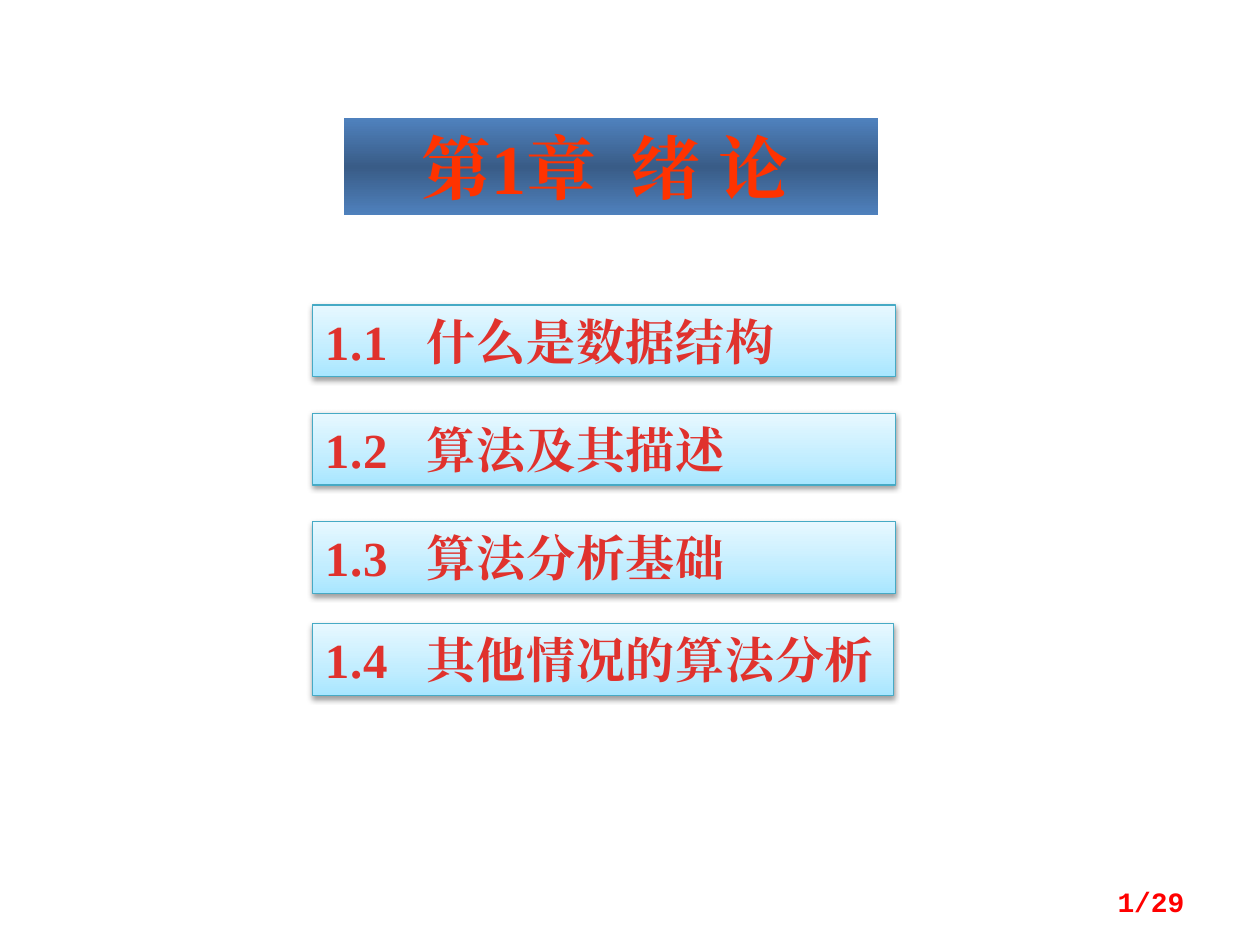
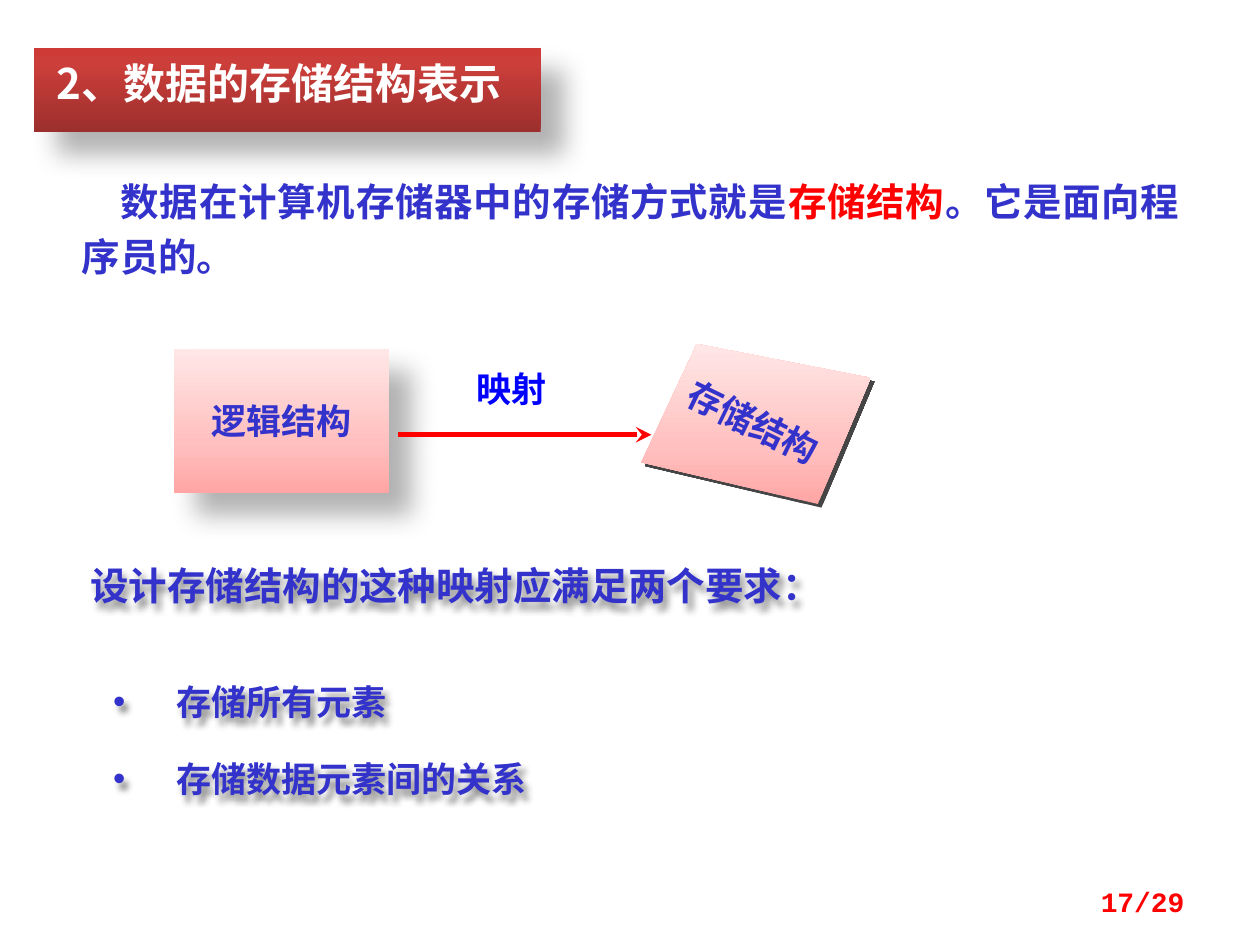
from lxml import etree
from pptx import Presentation
from pptx import util as u
from pptx.dml.color import RGBColor
from pptx.enum import shapes, text
from pptx.oxml.ns import qn

COLORS = {"red": "FF0000", "orange": "FF3300", "brick": "E0322D", "white": "FFFFFF",
          "indigo": "3333CC", "blue": "0000FF", "teal": "46AAC5", "black": "000000"}
SERIF, SANS, MONO = "Times New Roman", "Noto Sans CJK SC", "Courier New"
# Gradient stops (position, colour) and the counter-clockwise angle
NAVY = ([(0, "4F81BD"), (50, "395C87"), (100, "4F81BD")], 270)
CRIMSON = ([(0, "9C2F2D"), (80, "CB3E3A"), (100, "CE3B37")], 90)
SKY = ([(0, "A7E6FF"), (35, "C1EDFF"), (100, "E7F8FF")], 90)
PINK = ([(0, "FFA6A5"), (35, "FFC0BF"), (100, "FFE7E7")], 90)
# Shadows: opacity %, blur pt, distance pt, direction
SOFT, SMALL, HARD, GLYPH = (30, 15, 18, 45), (38, 3.1, 1.6, 90), (72, 0, 3, 45), (45, 4, 4, 60)
LEFT, CENTER, RIGHT, JUSTIFY = (text.PP_ALIGN.LEFT, text.PP_ALIGN.CENTER,
                                text.PP_ALIGN.RIGHT, text.PP_ALIGN.JUSTIFY)
TOP, MIDDLE = text.MSO_ANCHOR.TOP, text.MSO_ANCHOR.MIDDLE
TOTAL = 29


def add_xml(parent, tag, **attrs):
    """Append a child element with the given attributes."""
    return etree.SubElement(parent, qn(tag), {k: str(v) for k, v in attrs.items()})


def lengths(*values):
    """Turn inches into lengths."""
    return [u.Inches(v) for v in values]


class Deck:
    """Holds the presentation, its style and the current slide."""

    def __init__(self):
        """Start a 4:3 presentation."""
        self.prs = Presentation()
        self.prs.slide_width, self.prs.slide_height = lengths(10, 7.5)

    def slide(self, number):
        """Add a title-only slide with its page number."""
        self.s = self.prs.slides.add_slide(self.prs.slide_layouts[5])
        self.area = self.s.shapes
        sp = self.label((7.17, 6.95, 2.33, 0.4), anchor=MIDDLE)
        self.para(sp, [(f"{number}/{TOTAL}", "red")], 16, MONO, RIGHT)

    def group(self):
        """Draw the following elements inside a new group."""
        self.area = self.s.shapes.add_group_shape().shapes

    def ungroup(self):
        """Draw on the slide itself again."""
        self.area = self.s.shapes

    def frame(self, sp, insets=(0.1, 0.05, 0.1, 0.05), anchor=TOP, wrap=True):
        """Set insets, anchor and wrapping of the text."""
        tf = sp.text_frame
        tf.auto_size = text.MSO_AUTO_SIZE.NONE
        tf.word_wrap, tf.vertical_anchor = wrap, anchor
        tf.margin_left, tf.margin_top, tf.margin_right, tf.margin_bottom = lengths(*insets)

    def para(self, sp, runs, size, font, align=LEFT, spacing=None, before=0,
             indent=None, bullet=None, tracking=None):
        """Add a paragraph of (text, colour) runs."""
        tf = sp.text_frame
        p = tf.add_paragraph() if tf.paragraphs[0].runs else tf.paragraphs[0]
        p.alignment, p.space_before = align, u.Pt(before)
        if spacing:
            p.line_spacing = spacing
        pPr = p._p.get_or_add_pPr()
        if indent:
            margin, first = lengths(*indent)
            pPr.set("marL", str(margin))
            pPr.set("indent", str(first))
        if bullet:
            add_xml(pPr, "a:buFont", typeface="Arial")
            add_xml(pPr, "a:buChar", char=bullet)
        for words, color in runs:
            r = p.add_run()
            r.text = words
            r.font.size, r.font.bold, r.font.name = u.Pt(size), True, font
            r.font.color.rgb = RGBColor.from_string(COLORS[color])
            rPr = r.font._element
            add_xml(rPr, "a:ea", typeface=font)
            if tracking:
                rPr.set("spc", str(int(tracking * 100)))

    def paint(self, sp, gradient, shadow=None, line=None):
        """Fill a shape with a gradient and set its line and shadow."""
        stops, angle = gradient
        sp.fill.gradient()
        sp.fill.gradient_angle = angle
        gs_list = sp._element.spPr.find(qn("a:gradFill")).find(qn("a:gsLst"))
        for gs in list(gs_list):
            gs_list.remove(gs)
        for pos, color in stops:
            add_xml(add_xml(gs_list, "a:gs", pos=pos * 1000), "a:srgbClr", val=color)
        if line:
            sp.line.color.rgb = RGBColor.from_string(COLORS[line])
            sp.line.width = u.Pt(0.75)
        else:
            sp.line.fill.background()
        self.shade(sp, shadow)

    def shade(self, sp, shadow):
        """Replace the theme shadow by the given one, or by none."""
        sp.shadow.inherit = False
        if shadow:
            alpha, blur, dist, angle = shadow
            effects = sp._element.spPr.find(qn("a:effectLst"))
            outer = add_xml(effects, "a:outerShdw", blurRad=u.Pt(blur), dist=u.Pt(dist),
                            dir=angle * 60000, algn="tl", rotWithShape=0)
            color = add_xml(outer, "a:srgbClr", val=COLORS["black"])
            add_xml(color, "a:alpha", val=alpha * 1000)

    def title(self, box, gradient, insets, shadow=None):
        """Move the title placeholder and give it a band."""
        sp = self.s.shapes.title
        sp.left, sp.top, sp.width, sp.height = lengths(*box)
        self.paint(sp, gradient, shadow)
        self.frame(sp, insets)
        return sp

    def box(self, box, gradient, shadow, line=None, **frame):
        """Add a rectangle."""
        sp = self.area.add_shape(shapes.MSO_SHAPE.RECTANGLE, *lengths(*box))
        self.paint(sp, gradient, shadow, line)
        self.frame(sp, **frame)
        return sp

    def label(self, box, shadow=None, **frame):
        """Add a text box."""
        sp = self.area.add_textbox(*lengths(*box))
        self.frame(sp, **frame)
        if shadow:
            self.shade(sp, shadow)
        return sp

    def polygon(self, points, gradient, shadow):
        """Add a closed outline through the points."""
        start, *rest = [lengths(*point) for point in points]
        builder = self.area.build_freeform(*start, scale=1.0)
        builder.add_line_segments(rest, close=True)
        self.paint(builder.convert_to_shape(), gradient, shadow)

    def arrow(self, start, end, color, width):
        """Add a straight arrow."""
        c = self.area.add_connector(shapes.MSO_CONNECTOR.STRAIGHT,
                                    *lengths(*start), *lengths(*end))
        c.line.color.rgb = RGBColor.from_string(COLORS[color])
        c.line.width = u.Pt(width)
        add_xml(c.line._get_or_add_ln(), "a:tailEnd", type="stealth", w="med", len="med")
        add_xml(c._element.spPr, "a:effectLst")


def chapter_slide(deck):
    """Chapter title and its list of sections."""
    deck.slide(1)
    sp = deck.title((2.73, 0.94, 4.24, 0.77), NAVY, (0.1, 0.05, 0.2, 0.05))
    deck.para(sp, [("第1章\u2002绪 论", "orange")], 40, SERIF, CENTER)
    sections = [("什么是数据结构", 2.42, 4.63), ("算法及其描述", 3.28, 4.63),
                ("算法分析基础", 4.14, 4.63), ("其他情况的算法分析", 4.95, 4.61)]
    for i, (name, top, width) in enumerate(sections, 1):
        sp = deck.box((2.48, top, width, 0.57), SKY, SMALL, "teal")
        deck.para(sp, [(f"1.{i}\t{name}", "brick")], 28, SERIF,
                  indent=(0.81, -0.81), tracking=0.5)


def storage_slide(deck):
    """Mapping from the logical to the storage structure."""
    deck.slide(17)
    sp = deck.title((0.27, 0.38, 4.02, 0.67), CRIMSON, (0.18, 0.08, 0.1, 0.05), SOFT)
    deck.para(sp, [("2、数据的存储结构表示", "white")], 24, SANS)

    sp = deck.label((0.55, 1.25, 8.91, 0.93), insets=(0.1, 0.09, 0.1, 0.05))
    deck.para(sp, [("数据在计算机存储器中的存储方式就是", "indigo"), ("存储结构", "red"),
                   ("。它是面向程序员的。", "indigo")],
              22, SANS, JUSTIFY, u.Pt(31.4), indent=(0, 0.31))

    deck.group()
    sp = deck.box((1.38, 2.77, 1.71, 1.14), PINK, SOFT, anchor=MIDDLE, wrap=False)
    deck.para(sp, [("逻辑结构", "indigo")], 20, SANS, CENTER)
    deck.polygon([(5.53, 2.73), (6.91, 3), (6.49, 4), (5.09, 3.67)], PINK, HARD)
    sp = deck.label((5.33, 3.13, 1.3, 0.44), anchor=MIDDLE, wrap=False)
    sp.rotation = 26
    deck.para(sp, [("存储结构", "indigo")], 20, SANS, CENTER)
    deck.arrow((3.16, 3.45), (5.17, 3.45), "red", 3)
    sp = deck.label((3.68, 2.91, 0.89, 0.44), insets=(0.1, 0.01, 0.1, 0.01))
    deck.para(sp, [("映射", "blue")], 20, SANS)
    deck.ungroup()

    sp = deck.label((0.62, 4.38, 6.72, 0.63), GLYPH, insets=(0.1, 0.08, 0.1, 0.08))
    deck.para(sp, [("设计存储结构的这种映射应满足两个要求：", "indigo")], 22, SANS)
    sp = deck.label((0.8, 5.19, 6.01, 1.17), GLYPH, insets=(0.1, 0.07, 0.1, 0.05))
    for i, need in enumerate(["存储所有元素", "存储数据元素间的关系"]):
        deck.para(sp, [(need, "indigo")], 20, SANS, spacing=u.Pt(34), before=10 * i,
                  indent=(0.5, -0.5), bullet="•")


deck = Deck()
chapter_slide(deck)
storage_slide(deck)
deck.prs.save("out.pptx")
